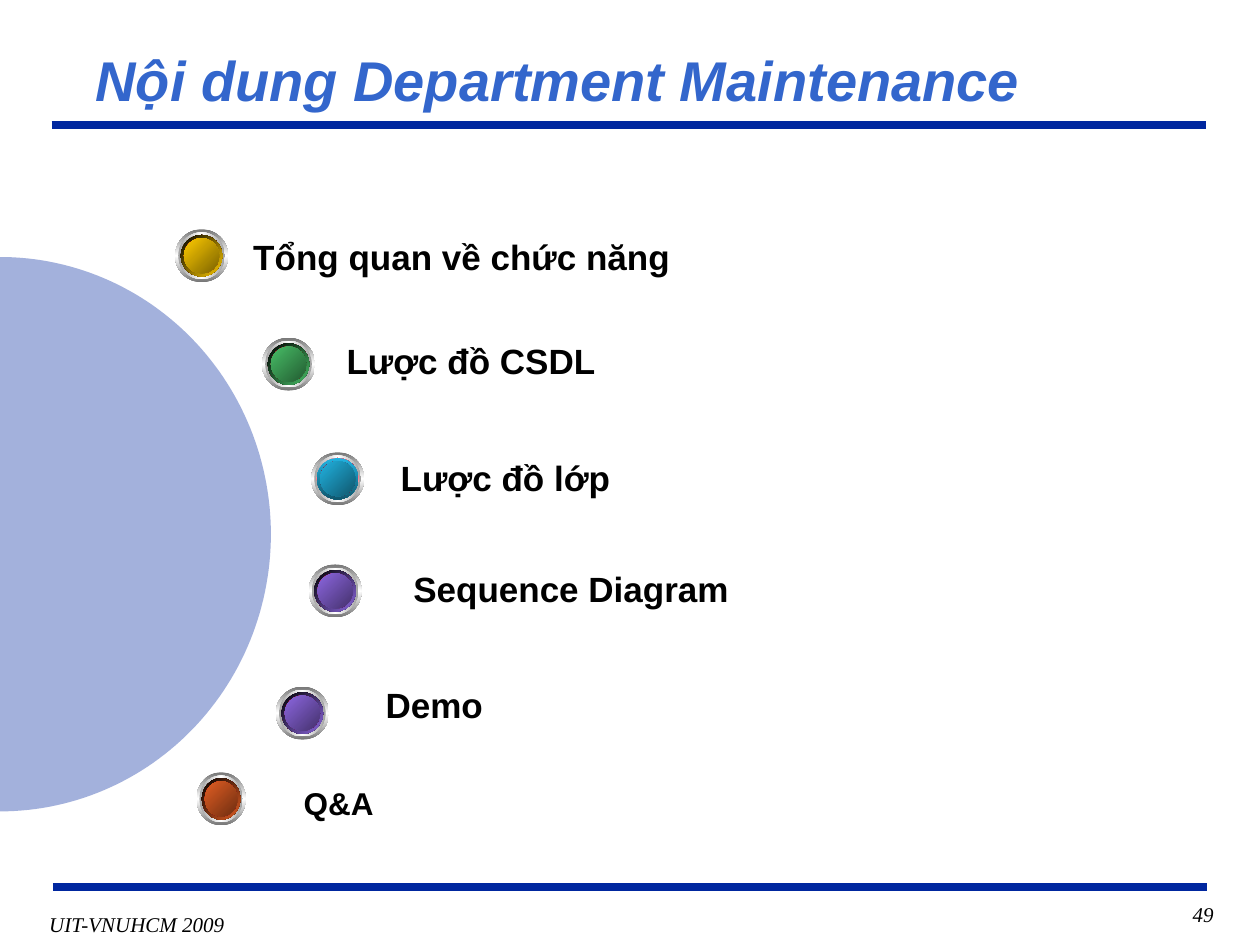
from math import cos, pi, sin

from lxml import etree
from pptx import Presentation
from pptx.dml.color import RGBColor
from pptx.enum.shapes import MSO_CONNECTOR, MSO_SHAPE
from pptx.enum.text import MSO_ANCHOR, PP_ALIGN
from pptx.oxml.ns import qn
from pptx.util import Inches, Pt

STRAIGHT = MSO_CONNECTOR.STRAIGHT
OVAL, PILL = MSO_SHAPE.OVAL, MSO_SHAPE.ROUNDED_RECTANGLE
LEFT, CENTER, RIGHT = PP_ALIGN.LEFT, PP_ALIGN.CENTER, PP_ALIGN.RIGHT
TOP, MIDDLE = MSO_ANCHOR.TOP, MSO_ANCHOR.MIDDLE

COLORS = {
    "navy": "00279F", "title": "3366CC", "black": "000000", "white": "FFFFFF",
    "rim": "767676", "bevel": "A2A2A2", "red": "FC0128", "dark red": "880116",
    "gold": "FFCC00", "dark gold": "7C6300",
    "green": "48BE67", "dark green": "235C32",
    "cyan": "21B3E1", "dark cyan": "10576D",
    "violet": "8D67E1", "dark violet": "45326D",
    "orange": "E35E23", "dark orange": "6E2E11",
}
FOOTER_FONT = {"name": "Times New Roman", "size": Pt(12), "italic": True}
TITLE_FONT = {"name": "Arial", "size": Pt(32), "bold": True, "italic": True}

# label, font size, label left and top, button left and top, button width, colour
TOPICS = [
    ("Tổng quan về chức năng", 20, 1.83, 1.76, 1.39, 1.82, 0.42, "gold"),
    ("Lược đồ CSDL", 20, 2.57, 2.58, 2.08, 2.68, 0.42, "green"),
    ("Lược đồ lớp", 20, 3.0, 3.51, 2.47, 3.59, 0.42, "cyan"),
    ("Sequence Diagram", 20, 3.1, 4.39, 2.45, 4.48, 0.42, "violet"),
    ("Demo", 20, 2.88, 5.31, 2.19, 5.45, 0.42, "violet"),
    ("Q&A", 18, 2.23, 6.09, 1.56, 6.13, 0.39, "orange"),
]
BUTTON_HEIGHT = 0.42


def rgb(name):
    return RGBColor.from_string(COLORS[name])


def write(shape, text, font, color="black", align=LEFT, anchor=TOP, wrap=True,
          margins=(0.1, 0.05)):
    frame = shape.text_frame
    side, end = map(Inches, margins)
    settings = {"word_wrap": wrap, "vertical_anchor": anchor,
                "margin_left": side, "margin_right": side,
                "margin_top": end, "margin_bottom": end}
    for key, value in settings.items():
        setattr(frame, key, value)
    paragraph = frame.paragraphs[0]
    paragraph.alignment = align
    run = paragraph.add_run()
    run.text = text
    for key, value in font.items():
        setattr(run.font, key, value)
    run.font.color.rgb = rgb(color)


def add_text(slide, box, text, font, **options):
    write(slide.shapes.add_textbox(*map(Inches, box)), text, font, **options)


def add_rule(slide, left, y):
    rule = slide.shapes.add_connector(
        STRAIGHT, Inches(left), Inches(y), Inches(left + 9.16), Inches(y))
    rule.line.color.rgb = rgb("navy")
    rule.line.width = Pt(4.5)
    etree.SubElement(rule._element.spPr, qn("a:effectLst"))


def add_half_disc(slide, center_y, radius_x, radius_y, steps=120):
    angles = [pi * (i / steps - 0.5) for i in range(steps + 1)]
    points = [(Inches(radius_x * cos(a)), Inches(center_y + radius_y * sin(a)))
              for a in angles]
    builder = slide.shapes.build_freeform(*points[0])
    builder.add_line_segments(points[1:], close=True)
    disc = builder.convert_to_shape()
    disc.shadow.inherit = False
    disc.line.fill.background()
    disc.fill.solid()
    disc.fill.fore_color.rgb = rgb("navy")
    color = disc._element.spPr.find(".//" + qn("a:srgbClr"))
    etree.SubElement(color, qn("a:alpha"), val="36000")


def set_gradient(shape, names, angle):
    """Fill with evenly spaced colours along a clockwise angle in degrees."""
    shape.fill.gradient()
    gradient = shape._element.spPr.find(qn("a:gradFill"))
    for child in list(gradient):
        gradient.remove(child)
    stops = etree.SubElement(gradient, qn("a:gsLst"))
    for i, name in enumerate(names):
        position = str(100000 * i // (len(names) - 1))
        stop = etree.SubElement(stops, qn("a:gs"), pos=position)
        etree.SubElement(stop, qn("a:srgbClr"), val=COLORS[name])
    etree.SubElement(gradient, qn("a:lin"), ang=str(angle * 60000), scaled="0")


def add_button(slide, left, top, width, color):
    """Stack concentric ovals into one glossy button."""
    dark = "dark " + color
    layers = [
        (0.42, ("rim", "white", "rim"), 90),
        (0.37, ("bevel", "white", "bevel"), 0),
        (0.33, ("white", "red", "white"), 45),
        (0.33, (dark, color) if color == "cyan" else ("black", color), 45),
        (0.28, ("dark red", "red", "dark red"), 315),
        (0.28, (color, dark), 45),
    ]
    if color == "cyan":
        layers[3] = (0.33, (color, dark), 90)
    button = slide.shapes.add_group_shape()
    for height, names, angle in layers:
        layer_width = width * height / BUTTON_HEIGHT
        box = (left + (width - layer_width) / 2,
               top + (BUTTON_HEIGHT - height) / 2, layer_width, height)
        oval = button.shapes.add_shape(OVAL, *map(Inches, box))
        oval.shadow.inherit = False
        oval.line.fill.background()
        set_gradient(oval, names, angle)


def add_label(slide, text, size, left, top):
    label = slide.shapes.add_shape(
        PILL, Inches(left), Inches(top), Inches(4.83), Inches(0.56))
    label.adjustments[0] = 0.5
    label.shadow.inherit = False
    label.fill.background()
    label.line.color.rgb = rgb("white")
    label.line.width = Pt(2.25)
    font = {"name": "Arial", "size": Pt(size), "bold": True}
    write(label, text, font, anchor=MIDDLE, wrap=False)


def main():
    deck = Presentation()
    deck.slide_width, deck.slide_height = Inches(10), Inches(7.5)
    slide = deck.slides.add_slide(deck.slide_layouts[6])

    # Rules, footer and title
    add_rule(slide, 0.41, 0.99)
    add_rule(slide, 0.42, 7.04)
    add_text(slide, (0.29, 7.19, 1.59, 0.29), "UIT-VNUHCM 2009", FOOTER_FONT,
             align=CENTER, wrap=False, margins=(0.09, 0.04))
    add_text(slide, (8.48, 7.11, 1.25, 0.33), "49", FOOTER_FONT, align=RIGHT)
    add_text(slide, (0.66, 0.33, 8.87, 0.59), "Nội dung Department Maintenance",
             TITLE_FONT, color="title", anchor=MIDDLE)

    # Topics around the half disc
    add_half_disc(slide, 4.24, 2.15, 2.2)
    for text, size, left, top, *_ in TOPICS:
        add_label(slide, text, size, left, top)
    for *_, left, top, width, color in TOPICS:
        add_button(slide, left, top, width, color)

    deck.save("out.pptx")


if __name__ == "__main__":
    main()
